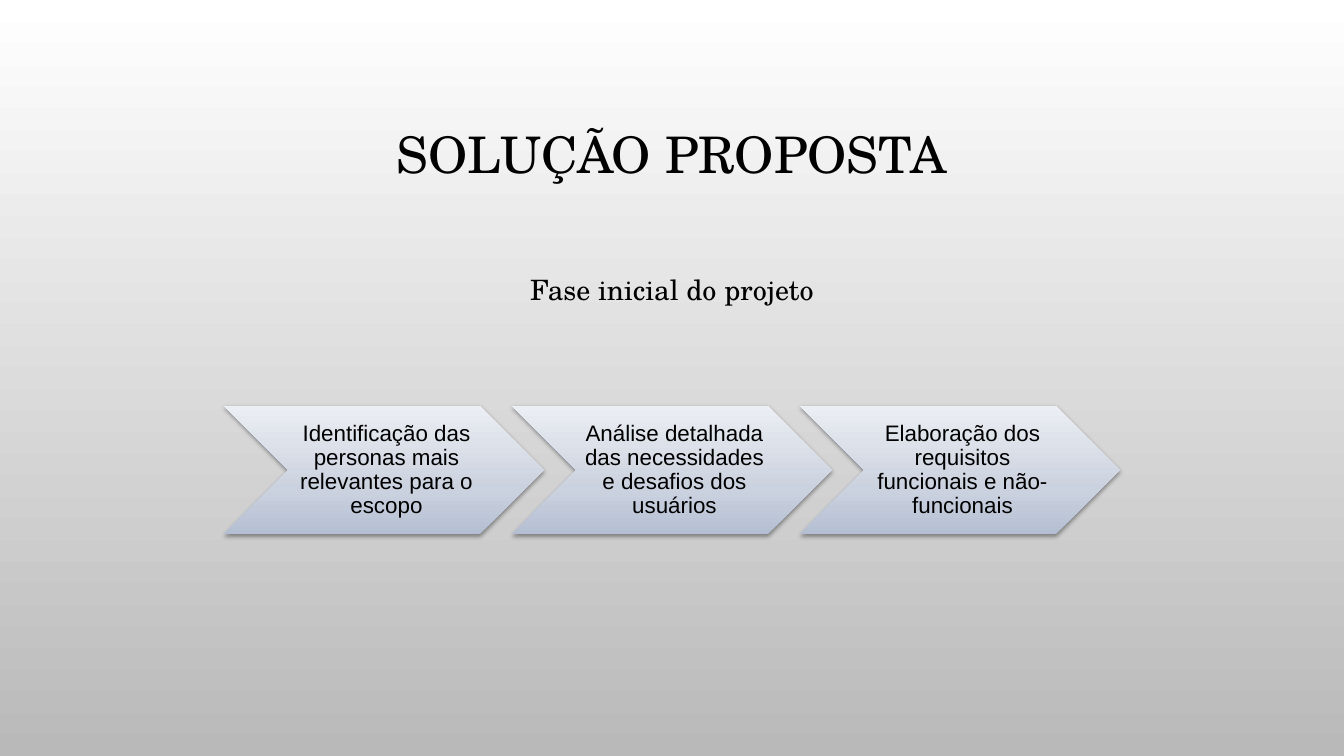
import copy

import lxml.etree
import pptx
import pptx.dml.color
import pptx.enum.shapes
import pptx.enum.text
import pptx.oxml.ns
import pptx.util

PX = 914400 / 100.8
SERIF = "TeX Gyre Schola"
ANCHOR = pptx.enum.text.MSO_ANCHOR
color = pptx.dml.color.RGBColor.from_string


def set_gradient(fill, element, stops, angle):
    """Fill with (position, hex) stops; the angle runs counterclockwise."""
    fill.gradient()
    fill.gradient_angle = angle
    first = element.xpath(".//a:gs")[0]
    for _ in stops[2:]:
        first.addnext(copy.deepcopy(first))
    for stop, (position, value) in zip(fill.gradient_stops, stops):
        stop.position = position
        stop.color.rgb = color(value)


def add_text(text, left, top, width, height, size, font=SERIF,
             spacing=0.9, anchor=ANCHOR.MIDDLE, insets=(10, 5, 10, 5)):
    box = page.shapes.add_textbox(*[round(n * PX) for n in (left, top, width, height)])
    frame = box.text_frame
    frame.word_wrap = True
    frame.vertical_anchor = anchor
    (frame.margin_left, frame.margin_top,
     frame.margin_right, frame.margin_bottom) = [round(n * PX) for n in insets]
    para = frame.paragraphs[0]
    para.alignment = pptx.enum.text.PP_ALIGN.CENTER
    para.line_spacing = spacing
    span = para.add_run()
    span.text = text
    span.font.size = pptx.util.Pt(size)
    span.font.name = font
    span.font.color.rgb = color("000000")


deck = pptx.Presentation()
deck.slide_width = round(1344 * PX)
deck.slide_height = round(756 * PX)
page = deck.slides.add_slide(deck.slide_layouts[6])

# Background
background = page.background.fill
set_gradient(background, page.element, [(0, "FFFFFF"), (1, "B9B9B9")], 270)

# Title
add_text("SOLUÇÃO PROPOSTA", 101, 69, 1142, 176, 36)

# Process steps
steps = [
    "Identificação das personas mais relevantes para o escopo",
    "Análise detalhada das necessidades e desafios dos usuários",
    "Elaboração dos requisitos funcionais e não-funcionais",
]
step_top, step_width, step_height, pitch = 406, 320, 128, 288
notch = step_height // 2
for index, label in enumerate(steps):
    left = 224 + index * pitch
    chevron = page.shapes.add_shape(
        pptx.enum.shapes.MSO_SHAPE.CHEVRON,
        *[round(n * PX) for n in (left, step_top, step_width, step_height)])
    chevron.line.fill.background()
    set_gradient(chevron.fill, chevron.element.spPr,
                 [(0, "B5BFD3"), (0.35, "CBD2DF"), (1, "EBEEF3")], 90)

    # Soft shadow below the chevron
    chevron.shadow.inherit = False
    effects = chevron.element.spPr.find(pptx.oxml.ns.qn("a:effectLst"))
    shadow = lxml.etree.SubElement(
        effects, pptx.oxml.ns.qn("a:outerShdw"),
        blurRad=str(pptx.util.Pt(3.1)), dist=str(pptx.util.Pt(1.6)),
        dir="5400000", rotWithShape="0")
    tint = lxml.etree.SubElement(shadow, pptx.oxml.ns.qn("a:srgbClr"), val="000000")
    lxml.etree.SubElement(tint, pptx.oxml.ns.qn("a:alpha"), val="38000")

    add_text(label, left + notch, step_top, step_width - 2 * notch, step_height,
             16, font="Arial", insets=(7, 2, 2, 2))

# Subtitle
add_text("Fase inicial do projeto", 101, 261, 1142, 377, 20,
         spacing=1.2, anchor=ANCHOR.TOP)

deck.save("out.pptx")
